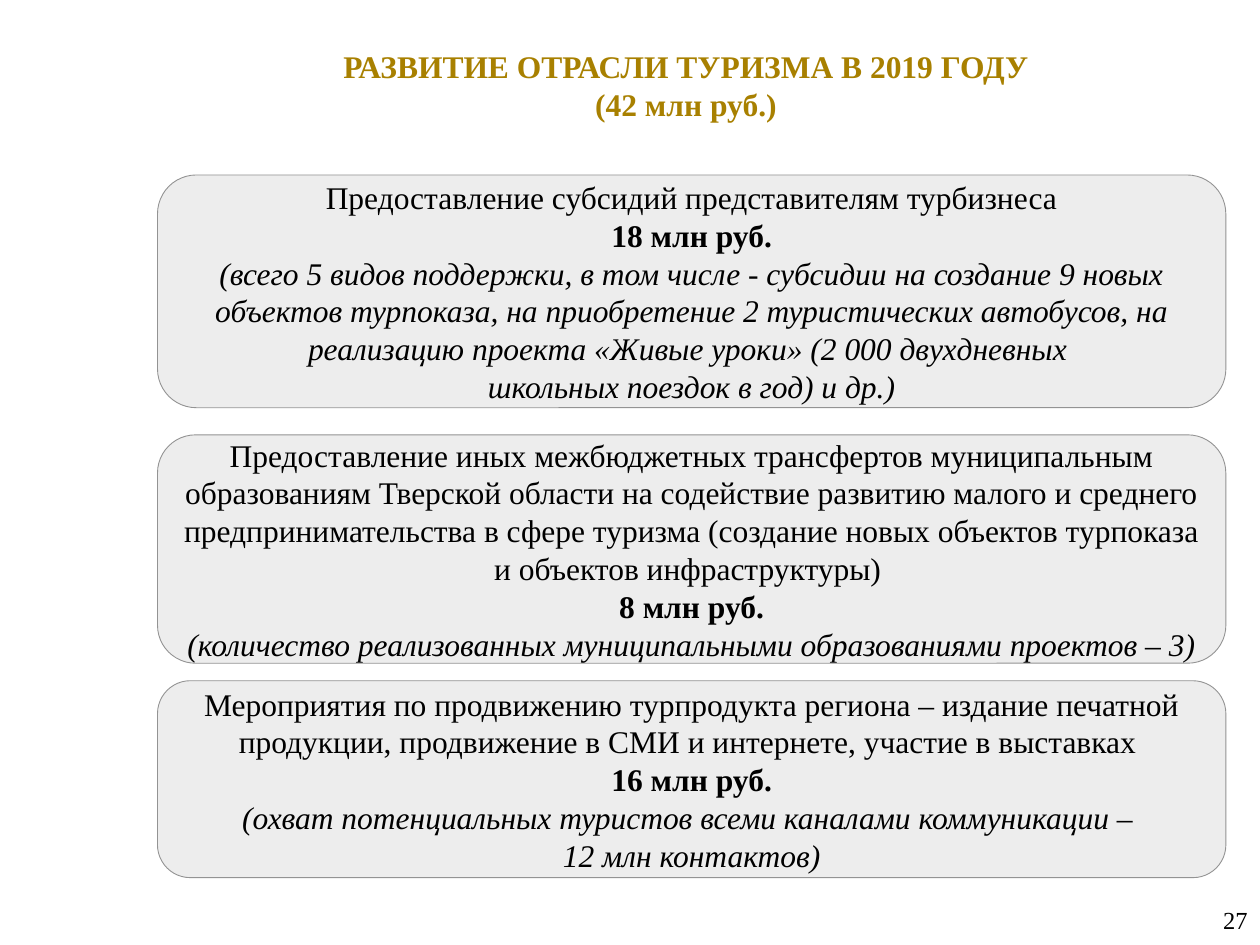
"""Build the slide on tourism industry spending in 2019."""
from pptx import Presentation
from pptx.dml.color import RGBColor as RGB
from pptx.enum.shapes import MSO_SHAPE as Shape
from pptx.enum.text import MSO_ANCHOR as Anchor, PP_ALIGN as Align
from pptx.util import Pt

COLORS = {"title": "A88000", "text": "000000", "card": "EDEDED", "border": "939393"}
FONT = "Times New Roman"
TITLE = "РАЗВИТИЕ ОТРАСЛИ ТУРИЗМА В 2019 ГОДУ\v(42 млн руб.)"
PAGE_NUMBER = "27"
CARD_LEFT, CARD_WIDTH = 90, 610.5
MEASURES = [
    {
        "top": 100, "height": 133,
        "purpose": "Предоставление субсидий представителям турбизнеса",
        "amount": "18 млн руб.",
        "details": [
            "(всего 5 видов поддержки, в том числе - субсидии на создание 9 новых "
            "объектов турпоказа, на приобретение 2 туристических автобусов, на "
            "реализацию проекта «Живые уроки» (2 000 двухдневных ",
            "школьных поездок в год) и др.)",
        ],
    },
    {
        "top": 248.5, "height": 130.5,
        "purpose": "Предоставление иных межбюджетных трансфертов муниципальным "
                   "образованиям Тверской области на содействие развитию малого и "
                   "среднего предпринимательства в сфере туризма (создание новых "
                   "объектов турпоказа и объектов инфраструктуры) ",
        "amount": "8 млн руб.",
        "details": ["(количество реализованных муниципальными образованиями проектов – 3)"],
    },
    {
        "top": 389, "height": 112.5,
        "purpose": "Мероприятия по продвижению турпродукта региона – издание печатной "
                   "продукции, продвижение в СМИ и интернете, участие в выставках ",
        "amount": "16 млн руб.",
        "details": [
            "(охват потенциальных туристов всеми каналами коммуникации – ",
            "12 млн контактов)",
        ],
    },
]


def write(paragraph, text, size=18, color="text", bold=False, italic=False, align=Align.CENTER):
    """Fill a paragraph with formatted text."""
    paragraph.text = text
    paragraph.alignment = align
    for run in paragraph.runs:
        font = run.font
        font.name, font.size, font.bold, font.italic = FONT, Pt(size), bold, italic
        font.color.rgb = RGB.from_string(COLORS[color])


def prepare(shape):
    """Wrap and vertically centre the text of a shape, returning its frame."""
    frame = shape.text_frame
    frame.word_wrap = True
    frame.vertical_anchor = Anchor.MIDDLE
    return frame


def add_label(slide, box, text, **style):
    """Add a one-paragraph text box."""
    label = slide.shapes.add_textbox(*map(Pt, box))
    write(prepare(label).paragraphs[0], text, **style)


def add_card(slide, measure):
    """Add a rounded card describing one spending measure."""
    box = (CARD_LEFT, measure["top"], CARD_WIDTH, measure["height"])
    card = slide.shapes.add_shape(Shape.ROUNDED_RECTANGLE, *map(Pt, box))
    card.shadow.inherit = False
    card.fill.solid()
    card.fill.fore_color.rgb = RGB.from_string(COLORS["card"])
    card.line.color.rgb = RGB.from_string(COLORS["border"])
    card.line.width = Pt(0.5)
    frame = prepare(card)
    write(frame.paragraphs[0], measure["purpose"])
    write(frame.add_paragraph(), measure["amount"], bold=True)
    for detail in measure["details"]:
        write(frame.add_paragraph(), detail, italic=True)


def main():
    """Assemble and save the slide."""
    deck = Presentation()
    deck.slide_width, deck.slide_height = Pt(720), Pt(540)
    slide = deck.slides.add_slide(deck.slide_layouts[6])
    add_label(slide, (96, 11.5, 592, 74), TITLE, color="title", bold=True)
    add_label(slide, (558, 511, 162, 29), PAGE_NUMBER, size=14, align=Align.RIGHT)
    for measure in MEASURES:
        add_card(slide, measure)
    deck.save("out.pptx")


if __name__ == "__main__":
    main()
